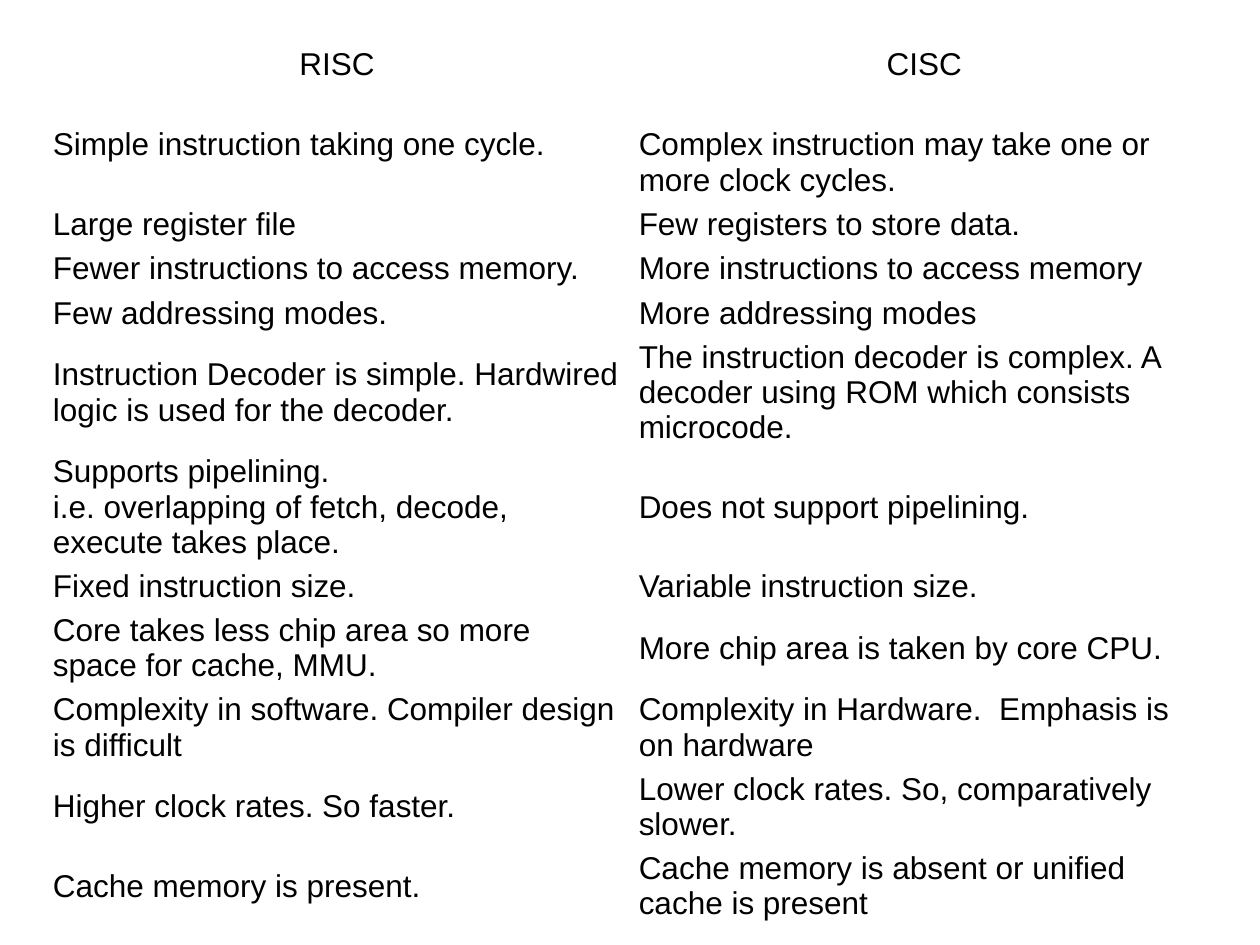
from lxml import etree
from pptx import Presentation
from pptx.dml import color
from pptx.enum import text
from pptx.oxml import ns
from pptx.util import Inches, Pt

ROWS = [
    (0.35, "RISC", "CISC"),
    (0.92, "Simple instruction taking one cycle.",
     "Complex instruction may take one or more clock cycles."),
    (0.35, "Large register file", "Few registers to store data."),
    (0.35, "Fewer instructions to access memory.",
     "More instructions to access memory"),
    (0.35, "Few addressing modes.", "More addressing modes"),
    (0.91, "Instruction Decoder is simple. Hardwired logic is used for the decoder.",
     "The instruction decoder is complex. A decoder using ROM which consists microcode."),
    (0.91, "Supports pipelining.\ni.e. overlapping of fetch, decode, execute takes place.",
     "Does not support pipelining."),
    (0.35, "Fixed instruction size.", "Variable instruction size."),
    (0.63, "Core takes less chip area so more space for cache, MMU.",
     "More chip area is taken by core CPU."),
    (0.63, "Complexity in software. Compiler design is difficult",
     "Complexity in Hardware.  Emphasis is on hardware"),
    (0.63, "Higher clock rates. So faster.",
     "Lower clock rates. So, comparatively slower."),
    (0.63, "Cache memory is present.",
     "Cache memory is absent or unified cache is present"),
]


def rgb(value):
    return color.RGBColor.from_string(value)


class SlideBuilder:
    font = {"name": "Arial", "size": Pt(18), "bold": False}
    cell_format = {
        "vertical_anchor": text.MSO_ANCHOR.MIDDLE,
        "margin_left": Inches(0.07),
        "margin_right": Inches(0.07),
        "margin_top": Inches(0.03),
        "margin_bottom": Inches(0.03),
    }
    ink = "000000"
    paper = "FFFFFF"
    border_width = Pt(0.6)

    def __init__(self, prs):
        self.s = prs.slides.add_slide(prs.slide_layouts[6])

    def borders(self, cell):
        tc_pr = cell._tc.get_or_add_tcPr()
        for i, side in enumerate(("lnL", "lnR", "lnT", "lnB")):
            ln = etree.Element(ns.qn(f"a:{side}"), w=str(self.border_width))
            fill = etree.SubElement(ln, ns.qn("a:solidFill"))
            etree.SubElement(fill, ns.qn("a:srgbClr"), val=self.paper)
            tc_pr.insert(i, ln)

    def cell(self, cell, content, align):
        for key, value in self.cell_format.items():
            setattr(cell, key, value)
        cell.fill.solid()
        cell.fill.fore_color.rgb = rgb(self.paper)
        self.borders(cell)
        cell.text = content
        for p in cell.text_frame.paragraphs:
            p.alignment = align
            for r in p.runs:
                for key, value in self.font.items():
                    setattr(r.font, key, value)
                r.font.color.rgb = rgb(self.ink)

    def table(self, left, top, widths, rows):
        height = sum(row[0] for row in rows)
        table = self.s.shapes.add_table(
            len(rows), len(widths), Inches(left), Inches(top),
            Inches(sum(widths)), Inches(height)).table
        for column, width in zip(table.columns, widths):
            column.width = Inches(width)
        for i, (row_height, *contents) in enumerate(rows):
            table.rows[i].height = Inches(row_height)
            align = text.PP_ALIGN.LEFT if i else text.PP_ALIGN.CENTER
            for j, content in enumerate(contents):
                self.cell(table.cell(i, j), content, align)
        return table


def main():
    prs = Presentation()
    prs.slide_width, prs.slide_height = Inches(10), Inches(7.5)
    table = SlideBuilder(prs).table(0.35, 0.34, (4.65, 4.67), ROWS)
    table.cell(1, 1).margin_top = Inches(0.31)
    prs.save("out.pptx")


if __name__ == "__main__":
    main()
